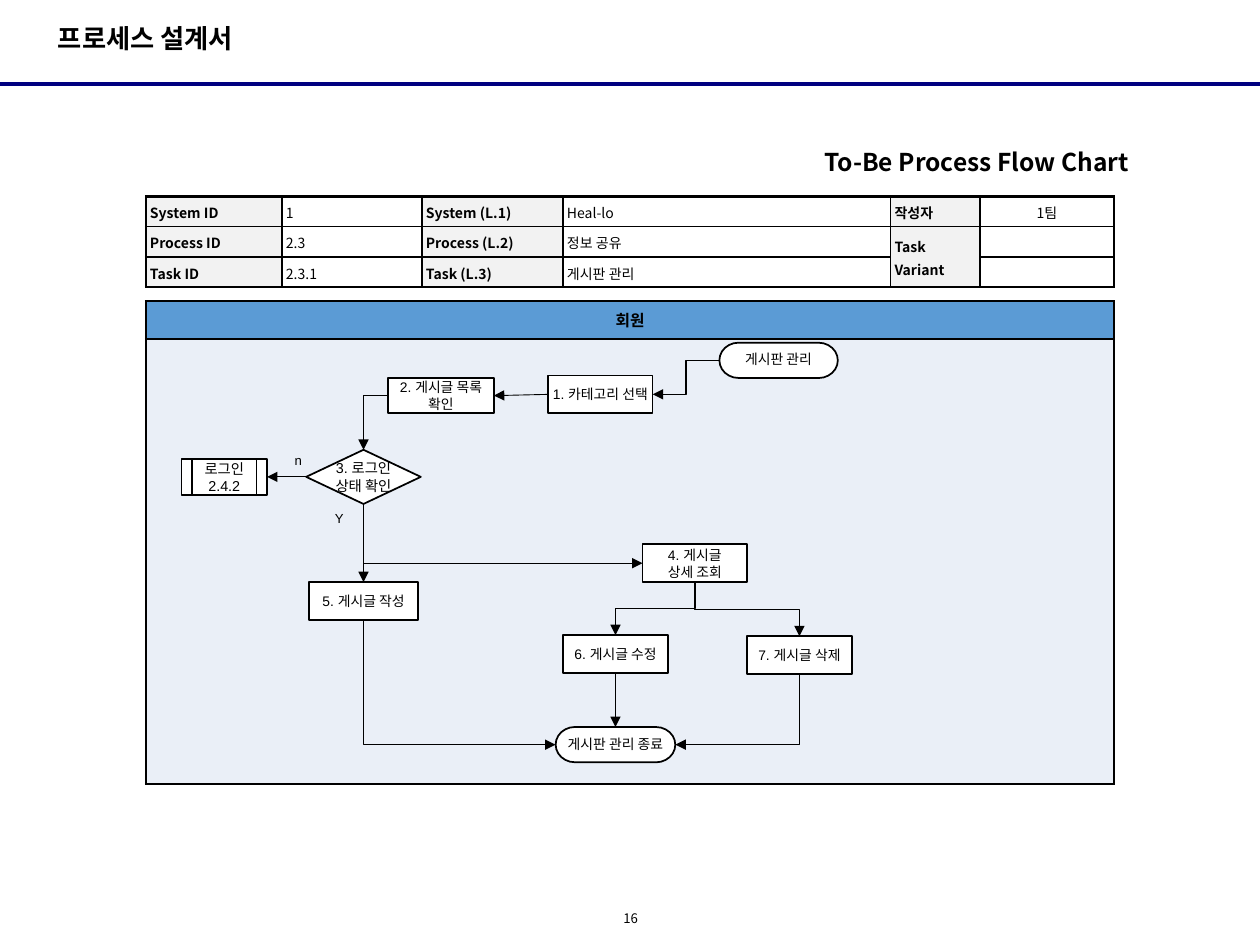
from lxml.etree import SubElement as Sub
from pptx import Presentation
from pptx.dml.color import RGBColor
from pptx.enum.shapes import MSO_CONNECTOR as Link, MSO_SHAPE as Kind
from pptx.enum.text import MSO_ANCHOR as Anchor, MSO_AUTO_SIZE as Auto, PP_ALIGN as Align
from pptx.oxml.ns import qn
from pptx.util import Inches, Pt

SANS = "Noto Sans CJK KR"
BLACK = "000000"
color = RGBColor.from_string


def write(frame, text, size, font="Arial", bold=False, align=Align.LEFT,
          anchor=Anchor.TOP, pad=(0, 0), space=None, wrap=True):
    """Fill a text frame or cell; pad is the side and the top margin in inches."""
    box = getattr(frame, "text_frame", frame)
    box.text = text
    box.word_wrap = wrap
    frame.vertical_anchor = anchor
    frame.margin_left = frame.margin_right = Inches(pad[0])
    frame.margin_top = frame.margin_bottom = Inches(pad[1])
    for par in box.paragraphs:
        par.alignment = align
        par.space_before = Pt(0)
        par.line_spacing = space
        props = par._p.get_or_add_pPr()
        props.set("marL", "0")
        props.set("indent", "0")
        Sub(props, qn("a:buNone"))
        face = par.font
        face.name, face.size, face.bold = font, Pt(size), bold
        face.color.rgb = color(BLACK)
        if not text:
            par._p.get_or_add_endParaRPr().set("sz", str(size * 100))


def dress(cell, fill, edges):
    """Draw the borders (left, right, top, bottom in points), then the fill."""
    props = cell._tc.get_or_add_tcPr()
    for side, width in zip("LRTB", edges):
        line = Sub(props, qn(f"a:ln{side}"), w=str(Pt(width)))
        Sub(Sub(line, qn("a:solidFill")), qn("a:srgbClr"), val=BLACK)
    if fill:
        cell.fill.solid()
        cell.fill.fore_color.rgb = color(fill)
    else:
        cell.fill.background()


deck = Presentation()
deck.slide_width, deck.slide_height = Inches(10), Inches(7.5)
slide = deck.slides.add_slide(deck.slide_layouts[1])
shapes = slide.shapes

# Heading, rule and page number
rule = shapes.add_connector(Link.STRAIGHT, 0, Inches(0.67), Inches(10), Inches(0.67))
rule.line.color.rgb = color("000080")
rule.line.width = Pt(2.25)
Sub(rule._element.spPr, qn("a:effectLst"))

title, body = shapes.title, slide.placeholders[1]
page = shapes.add_textbox(0, 0, 0, 0)
for shape, at in ((title, (0.36, 0.13, 1.75, 0.35)),
                  (body, (6.48, 1.15, 2.48, 0.3)),
                  (page, (4.85, 7.17, 0.31, 0.25))):
    shape.left, shape.top, shape.width, shape.height = map(Inches, at)
    shape.text_frame.auto_size = Auto.NONE
write(title.text_frame, "프로세스 설계서", 15, bold=True, pad=(0.1, 0.05), wrap=False)
write(body.text_frame, "To-Be Process Flow Chart", 14, SANS, True, Align.RIGHT,
      pad=(0, 0.04), space=0.9)
write(page.text_frame, "16", 7.5, SANS, align=Align.CENTER, anchor=Anchor.MIDDLE,
      space=0.8, wrap=False)

# Lane with its header
lane = shapes.add_table(2, 1, Inches(1.16), Inches(2.39), Inches(7.68), Inches(3.83)).table
lane.rows[0].height, lane.rows[1].height = Inches(0.3), Inches(3.53)
for row, (text, fill, edges) in enumerate((
        ("회원", "5B9BD5", (1.5, 1.5, 1.5, 0.75)),
        ("", "EAEFF7", (1.5, 1.5, 0.75, 1.5)))):
    cell = lane.cell(row, 0)
    write(cell, text, 9, SANS, True, Align.CENTER, Anchor.MIDDLE, (0.07, 0.04))
    dress(cell, fill, edges)

# Process details
facts = (("System ID", "1", "System (L.1)", "Heal-lo", "작성자", "1팀"),
         ("Process ID", "2.3", "Process (L.2)", "정보 공유", "Task Variant", ""),
         ("Task ID", "2.3.1", "Task (L.3)", "게시판 관리", "", ""))
grid = shapes.add_table(3, 6, Inches(1.16), Inches(1.56), Inches(7.68), Inches(0.72)).table
for col, width in zip(grid.columns, (1.08, 1.11, 1.12, 2.6, 0.71, 1.06)):
    col.width = Inches(width)
for r, row in enumerate(facts):
    grid.rows[r].height = Inches(0.24)
    for c, text in enumerate(row):
        cell = grid.cell(r, c)
        label = c % 2 == 0
        write(cell, text, 8, SANS, label, Align.CENTER if c == 5 else Align.LEFT,
              Anchor.MIDDLE if c > 3 else Anchor.TOP, (0.03, 0.03), 1.1)
        outer = (c == 0, c == 5, r == 0, r == 2)
        dress(cell, "F2F2F2" if label else None, [1.5 if out else 1 for out in outer])
grid.cell(1, 4).merge(grid.cell(2, 4))

# Flow steps
BOX, PILL = Kind.RECTANGLE, Kind.FLOWCHART_TERMINATOR
steps = {
    "start": (PILL, 5.71, 2.72, 0.94, 0.28, "게시판 관리"),
    "pick": (BOX, 4.35, 2.98, 0.83, 0.3, "1. 카테고리 선택"),
    "list": (BOX, 3.08, 3, 0.84, 0.28, "2. 게시글 목록 확인"),
    "check": (Kind.FLOWCHART_DECISION, 2.43, 3.57, 0.91, 0.43, "3. 로그인\n상태 확인"),
    "login": (Kind.FLOWCHART_PREDEFINED_PROCESS, 1.44, 3.64, 0.68, 0.29, "로그인\n2.4.2"),
    "view": (BOX, 5.1, 4.32, 0.83, 0.3, "4. 게시글\n상세 조회"),
    "post": (BOX, 2.45, 4.62, 0.87, 0.3, "5. 게시글 작성"),
    "edit": (BOX, 4.47, 5.04, 0.83, 0.3, "6. 게시글 수정"),
    "drop": (BOX, 5.93, 5.05, 0.83, 0.3, "7. 게시글 삭제"),
    "end": (PILL, 4.41, 5.77, 0.95, 0.28, "게시판 관리 종료"),
}
nodes = {}
for name, (kind, *at, text) in steps.items():
    node = nodes[name] = shapes.add_shape(kind, *map(Inches, at))
    node.shadow.inherit = False
    node.fill.solid()
    node.fill.fore_color.rgb = color("FFFFFF")
    node.line.color.rgb = color(BLACK)
    node.line.width = Pt(1)
    write(node.text_frame, text, 8.2 if name in ("check", "login") else 7.9,
          align=Align.CENTER, anchor=Anchor.MIDDLE, pad=(0.01, 0),
          space=0.9 if kind == PILL else None, wrap=name != "check")

for text, *at in (("n", 2.24, 3.54, 0.24, 0.23), ("Y", 2.56, 4, 0.33, 0.23)):
    note = shapes.add_textbox(*map(Inches, at))
    write(note.text_frame, text, 7.5, pad=(0.1, 0.05))

# Links: from, side, to, side, number of bends, line width
TOP, LEFT, BOTTOM, RIGHT = range(4)
for a, out, b, into, bends, width in (
        ("start", LEFT, "pick", RIGHT, 2, 0.75),
        ("pick", LEFT, "list", RIGHT, 0, 0.5),
        ("list", LEFT, "check", TOP, 1, 0.75),
        ("check", LEFT, "login", RIGHT, 0, 0.5),
        ("check", BOTTOM, "post", TOP, 0, 0.5),
        ("check", BOTTOM, "view", LEFT, 1, 0.75),
        ("post", BOTTOM, "end", LEFT, 1, 0.75),
        ("view", BOTTOM, "edit", TOP, 2, 0.75),
        ("view", BOTTOM, "drop", TOP, 2, 0.75),
        ("drop", BOTTOM, "end", RIGHT, 1, 0.75),
        ("edit", BOTTOM, "end", TOP, 0, 0.75)):
    link = shapes.add_connector(Link.ELBOW if bends else Link.STRAIGHT, 0, 0, 0, 0)
    link.begin_connect(nodes[a], out)
    link.end_connect(nodes[b], into)
    link.line.color.rgb = color(BLACK)
    link.line.width = Pt(width)
    Sub(link.line._get_or_add_ln(), qn("a:tailEnd"), type="triangle")
    props = link._element.spPr
    Sub(props, qn("a:effectLst"))
    if bends:
        props.find(qn("a:prstGeom")).set("prst", f"bentConnector{bends + 1}")
        right = link.end_x > link.begin_x
        frame = props.xfrm
        frame.flipH = frame.flipV = False
        if out == BOTTOM:
            # A link that leaves downwards is a quarter turn about its centre
            w, h = link.width, link.height
            link.left, link.top = link.left + (w - h) // 2, link.top + (h - w) // 2
            link.width, link.height = h, w
            frame.rot = 270 if right else 90
            frame.flipH = right
        else:
            frame.rot, frame.flipV = 180, True

deck.save("out.pptx")
